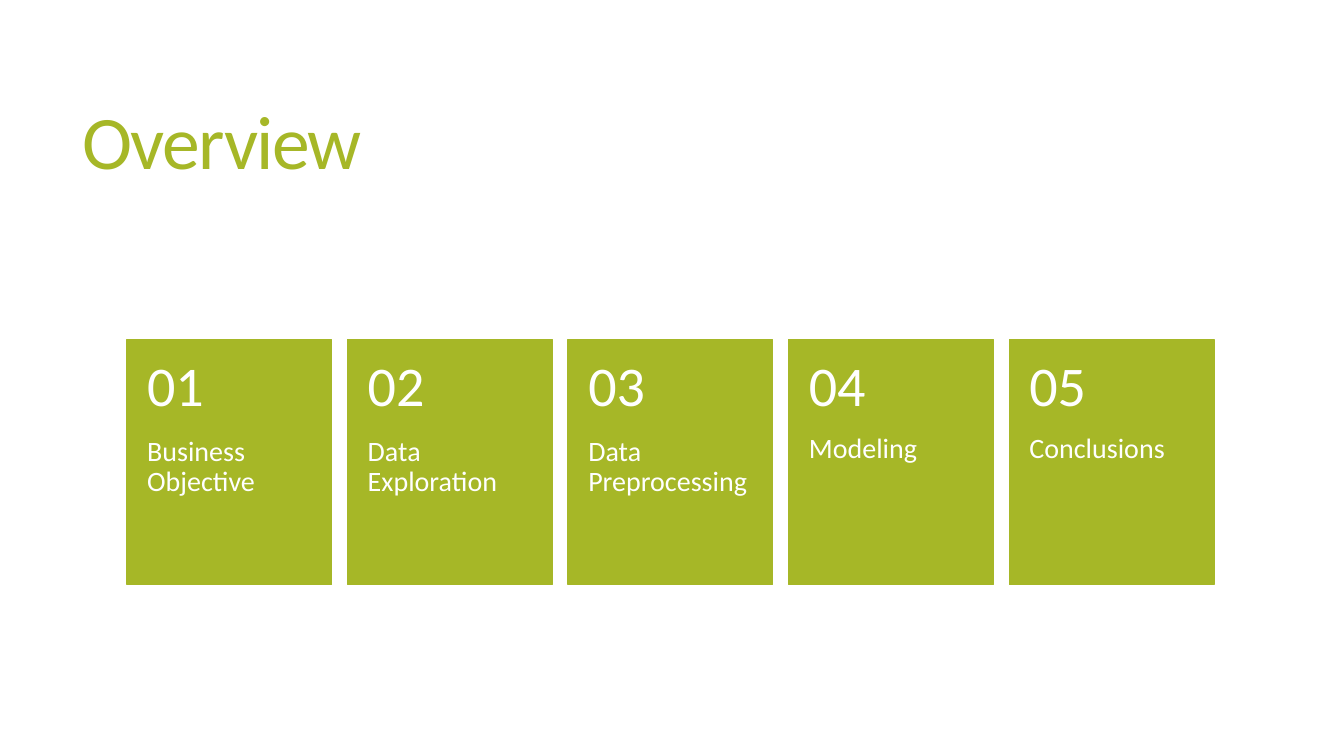
from pptx import Presentation
from pptx import util as u
from pptx.dml.color import RGBColor
from pptx.enum import shapes, text

COLORS = {"green": "A6B727", "white": "FFFFFF"}
TOPICS = ["Business Objective", "Data Exploration", "Data Preprocessing",
          "Modeling", "Conclusions"]
LEFT, TOP, WIDTH, STEP = 1.26, 3.37, 2.03, 2.1875
HEAD, BODY = 0.97, 1.46


def color(name):
    """Return the named colour."""
    return RGBColor.from_string(COLORS[name])


def write(frame, words, size, tint="white", lead=0.9, track=0):
    """Put formatted text into a text frame."""
    para = frame.paragraphs[0]
    para.line_spacing = lead
    run = para.add_run()
    run.text = words
    run.font.name = "Calibri"
    run.font.size = u.Pt(size)
    run.font.color.rgb = color(tint)
    if track:
        run.font._element.set("spc", str(round(track * 100)))


class Deck:
    """Hold the style and the current slide."""

    def __init__(self):
        """Start a wide deck with one blank slide."""
        self.prs = Presentation()
        self.prs.slide_width = u.Inches(13.33)
        self.prs.slide_height = u.Inches(7.5)
        self.slide = self.prs.slides.add_slide(self.prs.slide_layouts[6])

    def label(self, box, words, size, pads=(0.1, 0.05, 0.1, 0.05),
              middle=False, **style):
        """Add a wrapped text box with its insets and anchor."""
        frame = self.slide.shapes.add_textbox(*map(u.Inches, box)).text_frame
        frame.word_wrap = True
        anchor = text.MSO_ANCHOR
        frame.vertical_anchor = anchor.MIDDLE if middle else anchor.TOP
        (frame.margin_left, frame.margin_top,
         frame.margin_right, frame.margin_bottom) = map(u.Inches, pads)
        write(frame, words, size, **style)

    def tile(self, box, tint):
        """Add a plain filled rectangle."""
        kind = shapes.MSO_SHAPE.RECTANGLE
        tile = self.slide.shapes.add_shape(kind, *map(u.Inches, box))
        tile.shadow.inherit = False
        tile.fill.solid()
        tile.fill.fore_color.rgb = color(tint)
        tile.line.color.rgb = color(tint)
        tile.line.width = u.Pt(1)

    def card(self, left, number, topic):
        """Add a tile with its number above its topic."""
        self.tile((left, TOP, WIDTH, HEAD + BODY), "green")
        self.label((left, TOP + HEAD, WIDTH, BODY), topic, 20,
                   pads=(0.2, 0, 0.2, 0.36))
        self.label((left, TOP, WIDTH, HEAD), f"{number:02d}", 40,
                   pads=(0.2, 0.18, 0.2, 0.18), middle=True)


deck = Deck()
deck.label((0.72, 0.55, 11.78, 1.81), "Overview", 54, middle=True,
           tint="green", lead=0.85, track=-1.2)
for index, topic in enumerate(TOPICS):
    deck.card(LEFT + index * STEP, index + 1, topic)
deck.prs.save("out.pptx")
